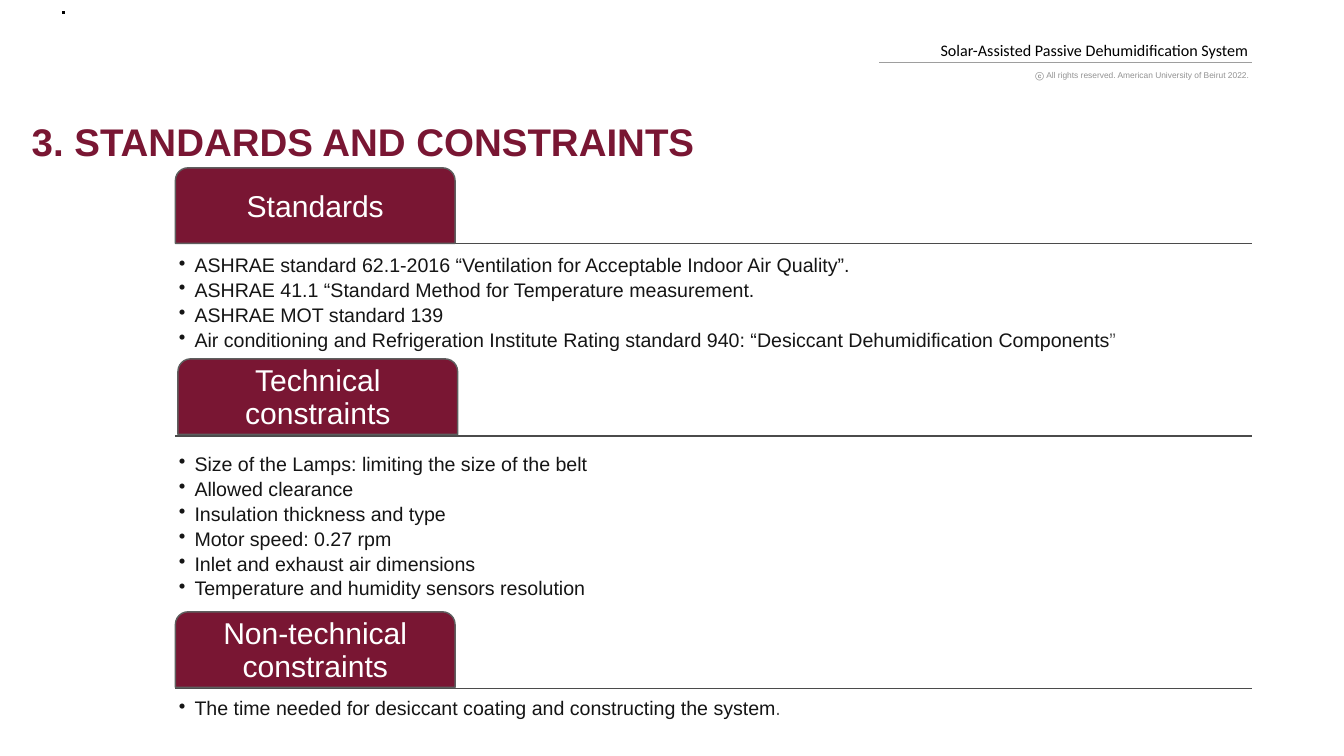
import pptx
import pptx.util
import pptx.dml.color
import pptx.enum.shapes
import pptx.enum.text
import pptx.oxml.ns
from dataclasses import dataclass
from lxml import etree

Pt, Inches = pptx.util.Pt, pptx.util.Inches
SHAPE = pptx.enum.shapes.MSO_SHAPE
ALIGN = pptx.enum.text.PP_ALIGN
qn = pptx.oxml.ns.qn


@dataclass(frozen=True)
class Theme:
    maroon: str = "791633"
    black: str = "000000"
    white: str = "FFFFFF"
    body: str = "151515"
    edge: str = "5E5E5E"
    rule: str = "4B4B4B"
    header_rule: str = "9E9E9E"
    muted: str = "929292"
    font: str = "Arial"
    header_font: str = "Calibri"
    title_size: int = 55
    tab_size: int = 43
    body_size: int = 28
    header_size: int = 23
    small_size: int = 12
    line_width: int = 2


def rgb(value):
    return pptx.dml.color.RGBColor.from_string(value)


class Deck:
    """Holds the theme and the slide; lengths are percent of the slide's size."""

    def __init__(self, theme):
        self.t = theme
        self.prs = pptx.Presentation()
        self.prs.slide_width, self.prs.slide_height = Inches(26.67), Inches(15)
        self.s = self.prs.slides.add_slide(self.prs.slide_layouts[6])

    def x(self, share):
        return int(self.prs.slide_width * share / 100)

    def y(self, share):
        return int(self.prs.slide_height * share / 100)

    def box(self, left, top, width, height):
        return self.x(left), self.y(top), self.x(width), self.y(height)

    def rule(self, left, right, top, color):
        line = self.s.shapes.add_connector(
            pptx.enum.shapes.MSO_CONNECTOR.STRAIGHT,
            self.x(left), self.y(top), self.x(right), self.y(top))
        line.line.color.rgb = rgb(color)
        line.line.width = Pt(self.t.line_width)
        etree.SubElement(line._element.spPr, qn("a:effectLst"))

    def shape(self, kind, box, fill, edge=None):
        sp = self.s.shapes.add_shape(kind, *self.box(*box))
        sp.shadow.inherit = False
        sp.fill.solid()
        sp.fill.fore_color.rgb = rgb(fill)
        if edge:
            sp.line.color.rgb = rgb(edge)
            sp.line.width = Pt(self.t.line_width)
        else:
            sp.line.fill.background()
        return sp

    def frame(self, sp, inset=None, wrap=True, grow=False):
        tf = sp.text_frame
        tf.word_wrap = wrap
        if grow:
            tf.auto_size = pptx.enum.text.MSO_AUTO_SIZE.SHAPE_TO_FIT_TEXT
        if inset is not None:
            tf.margin_left = tf.margin_right = Inches(inset)
            tf.margin_top = tf.margin_bottom = Inches(inset)
        return tf

    def add_runs(self, p, parts, size, font=None, bold=False, align=None, spacing=None):
        """Each part is a text and its colour."""
        p.alignment, p.line_spacing = align, spacing
        for text, color in parts:
            r = p.add_run()
            r.text = text
            r.font.size, r.font.name = Pt(size), font or self.t.font
            r.font.bold = bold
            r.font.color.rgb = rgb(color)

    def label(self, box, text, color, size, inset=None, wrap=True, **style):
        sp = self.s.shapes.add_textbox(*self.box(*box))
        p = self.frame(sp, inset, wrap, grow=True).paragraphs[0]
        self.add_runs(p, [(text, color)], size, **style)
        return p

    def tab(self, box, text):
        sp = self.shape(SHAPE.ROUND_2_SAME_RECTANGLE, box, self.t.maroon, self.t.edge)
        tf = self.frame(sp, 0.09)
        tf.vertical_anchor = pptx.enum.text.MSO_ANCHOR.MIDDLE
        self.add_runs(tf.paragraphs[0], [(text, self.t.white)], self.t.tab_size,
                      align=ALIGN.CENTER, spacing=0.9)

    def bullets(self, box, items, ending):
        tf = self.frame(self.s.shapes.add_textbox(*self.box(*box)), 0.07)
        for i, item in enumerate(items):
            p = tf.add_paragraph() if i else tf.paragraphs[0]
            p.level = 1
            pPr = p._p.get_or_add_pPr()
            pPr.set("marL", str(Inches(0.31)))
            pPr.set("indent", str(-Inches(0.31)))
            etree.SubElement(pPr, qn("a:buChar")).set("char", "•")
            p.space_after = Pt(5.3)
            parts = [(item, self.t.body)]
            if ending and i == len(items) - 1:
                parts.append((ending, self.t.edge))
            self.add_runs(p, parts, self.t.body_size, spacing=0.9)


LEFT, RIGHT = 13.05, 93.14
TAB_W, TAB_H, BODY_H = 20.81, 10, 19.93

# Tab text, tab left, tab top, rule, list top, list items, muted closing mark
SECTIONS = [
    ("Standards", LEFT, 22.2, 32.2, 33.4, [
        "ASHRAE standard 62.1-2016 “Ventilation for Acceptable Indoor Air Quality”.",
        "ASHRAE 41.1 “Standard Method for Temperature measurement.",
        "ASHRAE MOT standard 139",
        "Air conditioning and Refrigeration Institute Rating standard 940: "
        "“Desiccant Dehumidification Components",
    ], "”"),
    ("Technical constraints", 13.24, 47.47, 57.67, 59.67, [
        "Size of the Lamps: limiting the size of the belt",
        "Allowed clearance",
        "Insulation thickness and type",
        "Motor speed: 0.27 rpm",
        "Inlet and exhaust air dimensions",
        "Temperature and humidity sensors resolution",
    ], ""),
    ("Non-technical constraints", LEFT, 80.93, 91.07, 92, [
        "The time needed for desiccant coating and constructing the system",
    ], "."),
]


def main():
    t = Theme()
    d = Deck(t)

    # Running header
    d.label((67.45, 4.93, 25.68, 3.33), "Solar-Assisted Passive Dehumidification System",
            t.black, t.header_size, 0.06, False, font=t.header_font, align=ALIGN.RIGHT)
    p = d.label((76.53, 8.93, 16.65, 2.07), "ⓒ ", t.muted, t.small_size, 0.06, False,
                bold=True, align=ALIGN.RIGHT)
    d.add_runs(p, [("All rights reserved. American University of Beirut 2022.", t.muted)],
               t.small_size, align=ALIGN.RIGHT)
    d.rule(65.43, RIGHT, 8.27, t.header_rule)
    d.shape(SHAPE.FLOWCHART_PROCESS, (4.65, 1.47, 0.19, 0.33), t.black)

    # Title
    d.label((1.99, 16, 60.07, 6.2), "3. STANDARDS AND CONSTRAINTS", t.maroon,
            t.title_size, bold=True, spacing=0.9)

    # Sections: rule, tab and bulleted list
    for name, left, top, rule, list_top, items, ending in SECTIONS:
        d.rule(LEFT, RIGHT, rule, t.rule)
        d.tab((left, top, TAB_W, TAB_H), name)
        d.bullets((LEFT, list_top, RIGHT - LEFT, BODY_H), items, ending)

    d.prs.save("out.pptx")


if __name__ == "__main__":
    main()
